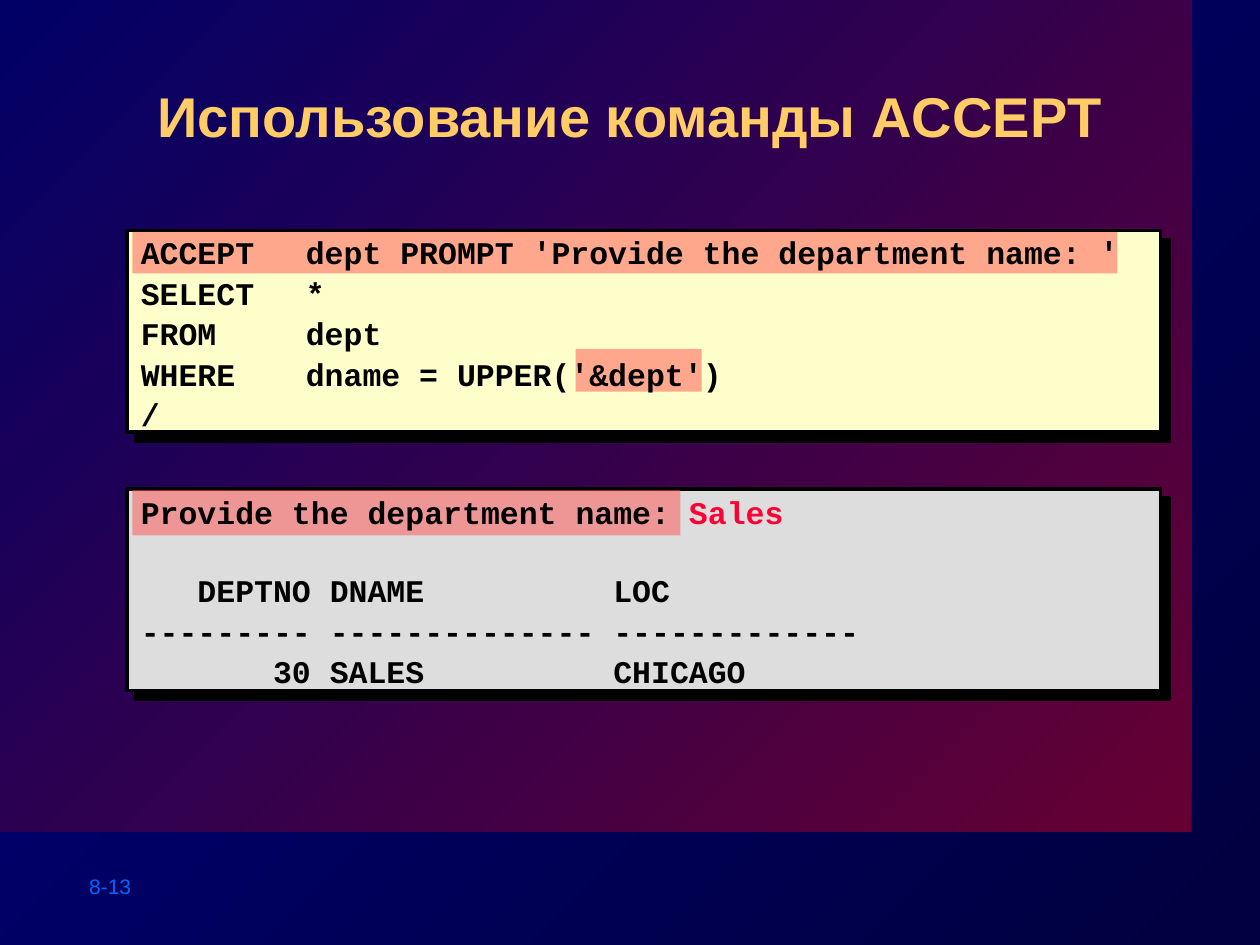
from dataclasses import dataclass

from lxml import etree
from pptx import Presentation
from pptx.dml.color import RGBColor
from pptx.enum.shapes import MSO_SHAPE
from pptx.enum.text import MSO_ANCHOR, MSO_AUTO_SIZE, PP_ALIGN
from pptx.oxml.ns import qn
from pptx.util import Pt

RECTANGLE = MSO_SHAPE.RECTANGLE
TOP, MIDDLE = MSO_ANCHOR.TOP, MSO_ANCHOR.MIDDLE
CENTER, LEFT = PP_ALIGN.CENTER, PP_ALIGN.LEFT

NAVY, BLUE = RGBColor(0x00, 0x00, 0x3F), RGBColor(0x00, 0x00, 0x80)
WINE, INDIGO = RGBColor(0x66, 0x00, 0x33), RGBColor(0x00, 0x00, 0x66)
CREAM, GRAY = RGBColor(0xFF, 0xFF, 0xCC), RGBColor(0xDD, 0xDD, 0xDD)
CORAL, RED = RGBColor(0xFF, 0x50, 0x50), RGBColor(0xFF, 0x00, 0x33)
GOLD, AZURE = RGBColor(0xFF, 0xCC, 0x66), RGBColor(0x00, 0x66, 0xFF)
BLACK = RGBColor(0, 0, 0)

LINE_SPACING = 1.07
CODE_TAB = Pt(94.3)
BLANK_LINE = Pt(21.6)
CODE_FONT = {"name": "Courier New", "size": Pt(18), "bold": True}
TITLE_FONT = {"name": "Arial", "size": Pt(32), "bold": True}
NUMBER_FONT = {"name": "Arial", "size": Pt(12), "bold": False}


@dataclass
class Box:
    left: float
    top: float
    width: float
    height: float

    def emu(self) -> tuple:
        return Pt(self.left), Pt(self.top), Pt(self.width), Pt(self.height)


@dataclass
class Line:
    text: str
    answer: str = ""
    gap_before: bool = False


@dataclass
class Listing:
    panel: Box
    text_area: Box
    fill: RGBColor
    highlights: list[Box]
    lines: list[Line]


LISTINGS = [
    Listing(
        Box(72.7, 131.8, 590.4, 115.2), Box(73.4, 131, 576, 117.4), CREAM,
        [Box(329, 199.4, 72, 24.5), Box(75.6, 132.5, 563, 23.8)],
        [
            Line("ACCEPT \tdept PROMPT 'Provide the department name: '"),
            Line("SELECT \t*"),
            Line("FROM   \tdept"),
            Line("WHERE  \tdname = UPPER('&dept')"),
            Line("/"),
        ],
    ),
    Listing(
        Box(72.7, 279.4, 590.4, 115.2), Box(73.4, 278.6, 576, 117.4), GRAY,
        [Box(75.6, 280.1, 313.2, 25.9)],
        [
            Line("Provide the department name: ", answer="Sales"),
            Line("   DEPTNO DNAME          LOC", gap_before=True),
            Line("--------- -------------- -------------"),
            Line("       30 SALES          CHICAGO"),
        ],
    ),
]


def set_gradient(fill, start: RGBColor, end: RGBColor) -> None:
    fill.gradient()
    fill.gradient_angle = 135
    for stop, color in zip(fill.gradient_stops, (start, end)):
        stop.color.rgb = color


def add_shadow(effects, distance: float) -> None:
    shadow = etree.SubElement(effects, qn("a:outerShdw"), blurRad="0",
                              dist=str(Pt(distance)), dir="2700000", algn="ctr",
                              rotWithShape="0")
    etree.SubElement(shadow, qn("a:srgbClr"), val=str(BLACK))


def add_rectangle(slide, box: Box):
    rectangle = slide.shapes.add_shape(RECTANGLE, *box.emu())
    rectangle.shadow.inherit = False
    rectangle.line.fill.background()
    return rectangle


def add_panel(slide, box: Box, color: RGBColor) -> None:
    panel = add_rectangle(slide, box)
    panel.fill.solid()
    panel.fill.fore_color.rgb = color
    panel.line.color.rgb = BLACK
    panel.line.width = Pt(2)
    add_shadow(panel.element.spPr.find(qn("a:effectLst")), 7.1)


def add_highlight(slide, box: Box) -> None:
    highlight = add_rectangle(slide, box)
    highlight.fill.solid()
    highlight.fill.fore_color.rgb = CORAL
    color = highlight.element.spPr.find(f"{qn('a:solidFill')}/{qn('a:srgbClr')}")
    etree.SubElement(color, qn("a:alpha"), val="50000")


def format_frame(frame, anchor) -> None:
    settings = {
        "word_wrap": True, "auto_size": MSO_AUTO_SIZE.NONE, "vertical_anchor": anchor,
        "margin_left": Pt(7.2), "margin_right": Pt(7.2),
        "margin_top": Pt(3.6), "margin_bottom": Pt(3.6),
    }
    for key, value in settings.items():
        setattr(frame, key, value)


def add_run(paragraph, text: str, style: dict, color: RGBColor):
    run = paragraph.add_run()
    run.text = text
    for key, value in style.items():
        setattr(run.font, key, value)
    run.font.color.rgb = color
    return run


def add_code(slide, box: Box, lines: list[Line]) -> None:
    frame = slide.shapes.add_textbox(*box.emu()).text_frame
    format_frame(frame, MIDDLE)
    for index, line in enumerate(lines):
        paragraph = frame.add_paragraph() if index else frame.paragraphs[0]
        paragraph.alignment = LEFT
        paragraph.line_spacing = LINE_SPACING
        if line.gap_before:
            paragraph.space_before = BLANK_LINE
        tabs = etree.SubElement(paragraph._p.get_or_add_pPr(), qn("a:tabLst"))
        etree.SubElement(tabs, qn("a:tab"), pos=str(CODE_TAB), algn="l")
        add_run(paragraph, line.text, CODE_FONT, BLACK)
        if line.answer:
            add_run(paragraph, line.answer, CODE_FONT, RED)


def add_title(slide, box: Box, text: str) -> None:
    title = slide.shapes.title
    title.left, title.top, title.width, title.height = box.emu()
    format_frame(title.text_frame, TOP)
    paragraph = title.text_frame.paragraphs[0]
    paragraph.alignment = CENTER
    paragraph.line_spacing = LINE_SPACING
    run = add_run(paragraph, text, TITLE_FONT, GOLD)
    effects = etree.Element(qn("a:effectLst"))
    run.font._element.find(qn("a:solidFill")).addnext(effects)
    add_shadow(effects, 3)


def main() -> None:
    deck = Presentation()
    deck.slide_width, deck.slide_height = Pt(720), Pt(540)
    slide = deck.slides.add_slide(deck.slide_layouts[5])

    # Background and main field
    set_gradient(slide.background.fill, NAVY, BLUE)
    field = add_rectangle(slide, Box(0, 0, 681, 475.2))
    set_gradient(field.fill, WINE, INDIGO)

    # Page number
    number = slide.shapes.add_textbox(*Box(43.9, 495.4, 80, 21.6).emu()).text_frame
    format_frame(number, TOP)
    add_run(number.paragraphs[0], "8-13", NUMBER_FONT, AZURE)

    # Title, raised above the field
    slide.shapes._spTree.append(slide.shapes.title.element)
    add_title(slide, Box(72.7, 40.3, 574.6, 69.1), "Использование команды ACCEPT")

    # Command and its output
    for listing in LISTINGS:
        add_panel(slide, listing.panel, listing.fill)
        for highlight in listing.highlights:
            add_highlight(slide, highlight)
        add_code(slide, listing.text_area, listing.lines)

    deck.save("out.pptx")


if __name__ == "__main__":
    main()
